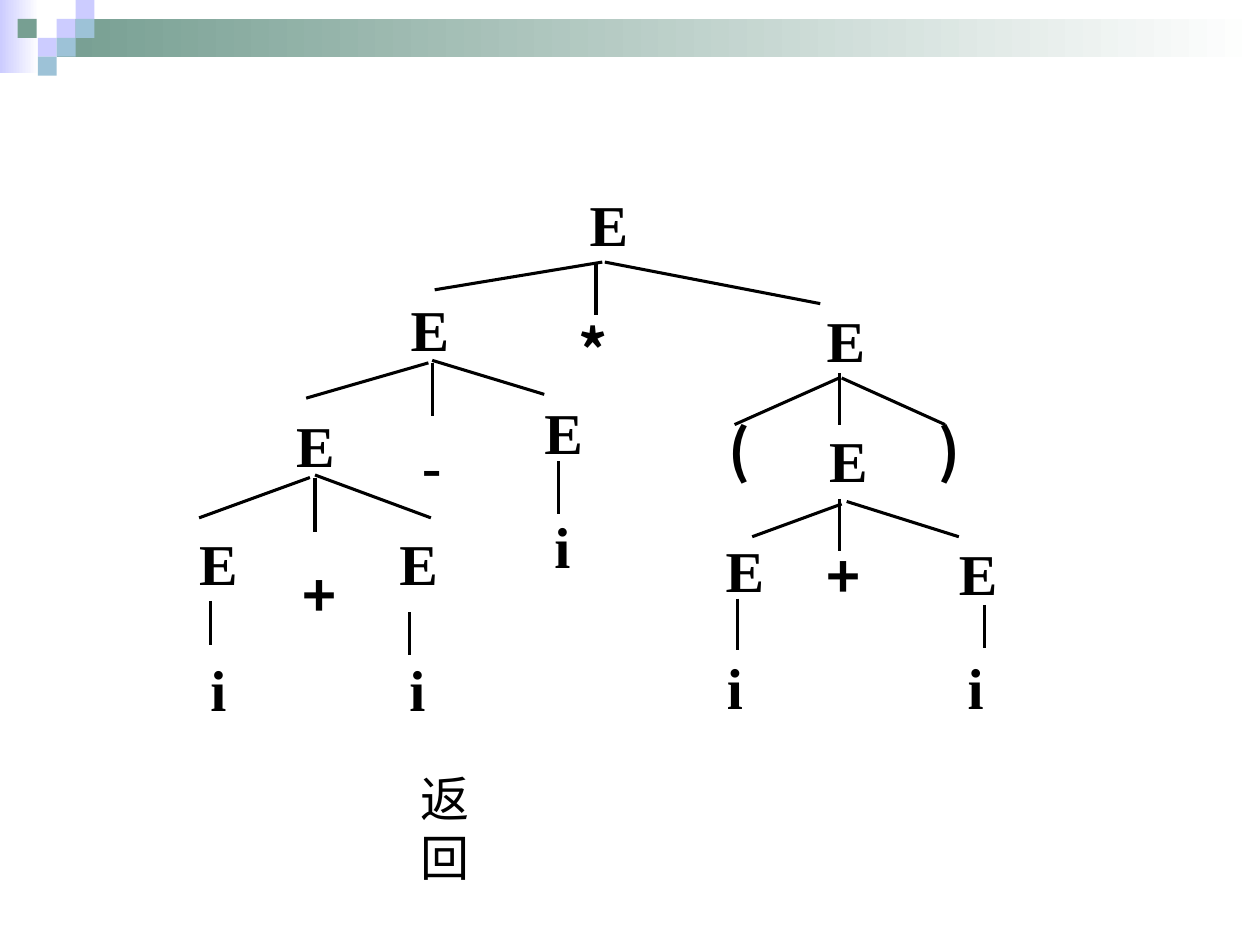
"""Build a slide showing the parse tree of an arithmetic expression."""
import dataclasses

import lxml.etree
import pptx
import pptx.dml.color
import pptx.enum.shapes
import pptx.enum.text
import pptx.oxml.ns
import pptx.util


@dataclasses.dataclass(frozen=True)
class Theme:
    ink: str = "000000"
    paper: str = "FFFFFF"
    lilac: str = "CCCCFF"
    green: str = "779F92"
    blue: str = "9DC2D7"
    serif: str = "Times New Roman"
    sans: str = "Noto Sans CJK SC"
    symbol_size: float = 33
    label_size: float = 28
    line_width: float = 1.75


class TreeSlide:
    """Draw on a grid of 100 columns and 75 rows."""

    def __init__(self, presentation, theme):
        self.theme = theme
        self.slide = presentation.slides.add_slide(presentation.slide_layouts[6])
        self.column = presentation.slide_width / 100
        self.row = presentation.slide_height / 75

    def place(self, *lengths):
        units = (self.column, self.row) * 2
        return [round(length * unit) for length, unit in zip(lengths, units)]

    def color(self, name):
        return pptx.dml.color.RGBColor.from_string(getattr(self.theme, name))

    def block(self, box, color, fade=False):
        shape = self.slide.shapes.add_shape(
            pptx.enum.shapes.MSO_SHAPE.RECTANGLE, *self.place(*box))
        shape.shadow.inherit = False
        shape.line.fill.background()
        if fade:
            shape.fill.gradient()
            shape.fill.gradient_angle = 0
            for stop, name in zip(shape.fill.gradient_stops, (color, "paper")):
                stop.color.rgb = self.color(name)
        else:
            shape.fill.solid()
            shape.fill.fore_color.rgb = self.color(color)

    def text(self, box, words, font, size, bold=False, margins=(0, 0)):
        shape = self.slide.shapes.add_textbox(*self.place(*box))
        frame = shape.text_frame
        frame.word_wrap = False
        frame.auto_size = pptx.enum.text.MSO_AUTO_SIZE.SHAPE_TO_FIT_TEXT
        frame.margin_left = frame.margin_right = pptx.util.Inches(margins[0])
        frame.margin_top = frame.margin_bottom = pptx.util.Inches(margins[1])
        frame.text = words
        run = frame.paragraphs[0].runs[0]
        run.font.name = font
        run.font.size = pptx.util.Pt(size)
        run.font.bold = bold
        run.font.color.rgb = self.color("ink")
        east_asian = lxml.etree.SubElement(
            run.font._element, pptx.oxml.ns.qn("a:ea"))
        east_asian.set("typeface", self.theme.sans)

    def symbol(self, character, left, top):
        width = SYMBOL_WIDTHS[character]
        font = self.theme.serif if character in "Ei-" else self.theme.sans
        self.text((left, top, width, 5.5), character, font,
                  self.theme.symbol_size, bold=True)

    def branch(self, start, end):
        connector = self.slide.shapes.add_connector(
            pptx.enum.shapes.MSO_CONNECTOR.STRAIGHT, *self.place(*start, *end))
        connector.line.color.rgb = self.color("ink")
        connector.line.width = pptx.util.Pt(self.theme.line_width)
        lxml.etree.SubElement(
            connector._element.spPr, pptx.oxml.ns.qn("a:effectLst"))


SYMBOL_WIDTHS = {"E": 3.1, "i": 1.3, "(": 1.6, ")": 1.6, "*": 2.5, "+": 2.6, "-": 1.5}

SYMBOLS = {
    "E": [(46.8, 15), (32.6, 23.3), (65.6, 24.2), (23.5, 32.5), (43.2, 31.5),
          (65.8, 33.7), (15.8, 41.9), (31.7, 41.9), (57.6, 42.4), (76.1, 42.7)],
    "i": [(44, 40.5), (16.7, 51.9), (32.5, 51.9), (57.7, 51.7), (76.8, 51.7)],
    "*": [(45.9, 25)],
    "-": [(33.5, 34.1)],
    "+": [(24, 44.4), (65.6, 42.9)],
    "(": [(57.8, 32.9)],
    ")": [(74.5, 32.9)],
}

FORKS = [
    ((47.8, 20.8), (34.5, 23), (48, 20.8), (65.1, 24.1)),
    ((34, 28.8), (24.3, 31.6), (34.3, 28.6), (43.2, 31.3)),
    ((24.6, 37.9), (15.8, 41.1), (25, 37.7), (34.2, 41.1)),
    ((66.6, 30), (58.3, 33.7), (66.8, 30), (75, 33.7)),
    ((66.8, 40), (59.7, 42.6), (67.2, 39.8), (76.1, 42.6)),
]

STEMS = [
    (47.3, 20.8, 4.2), (34.3, 28.8, 4.2), (25, 37.9, 4.3), (66.6, 29.6, 4.1),
    (66.6, 39.6, 4.1), (44.3, 36.6, 4.2), (58.5, 47.5, 4.1), (16.7, 47.7, 3.5),
    (32.5, 48.6, 3.4), (78.1, 48, 3.4),
]

TILE = 1.5
TILES = [(4.5, 1.5, "lilac"), (6, 0, "lilac"), (6, 1.5, "blue"), (3, 3, "lilac"),
         (1.4, 1.5, "green"), (4.5, 3, "blue"), (3, 4.5, "blue")]


def main():
    presentation = pptx.Presentation()
    presentation.slide_width = pptx.util.Inches(10)
    presentation.slide_height = pptx.util.Inches(7.5)
    theme = Theme()
    tree = TreeSlide(presentation, theme)

    tree.block((0, 0, 3.1, 5.8), "lilac", fade=True)
    tree.block((4.5, 1.5, 95.5, 3), "green", fade=True)
    for left, top, color in TILES:
        tree.block((left, top, TILE, TILE), color)

    for left_start, left_end, right_start, right_end in FORKS:
        tree.branch(left_start, left_end)
        tree.branch(right_start, right_end)
    for across, top, length in STEMS:
        tree.branch((across, top), (across, top + length))
    for character, positions in SYMBOLS.items():
        for left, top in positions:
            tree.symbol(character, left, top)

    tree.text((32.4, 60.5, 9.7, 5.7), "返回", theme.serif, theme.label_size,
              margins=(0.1, 0.05))
    presentation.save("out.pptx")


if __name__ == "__main__":
    main()
